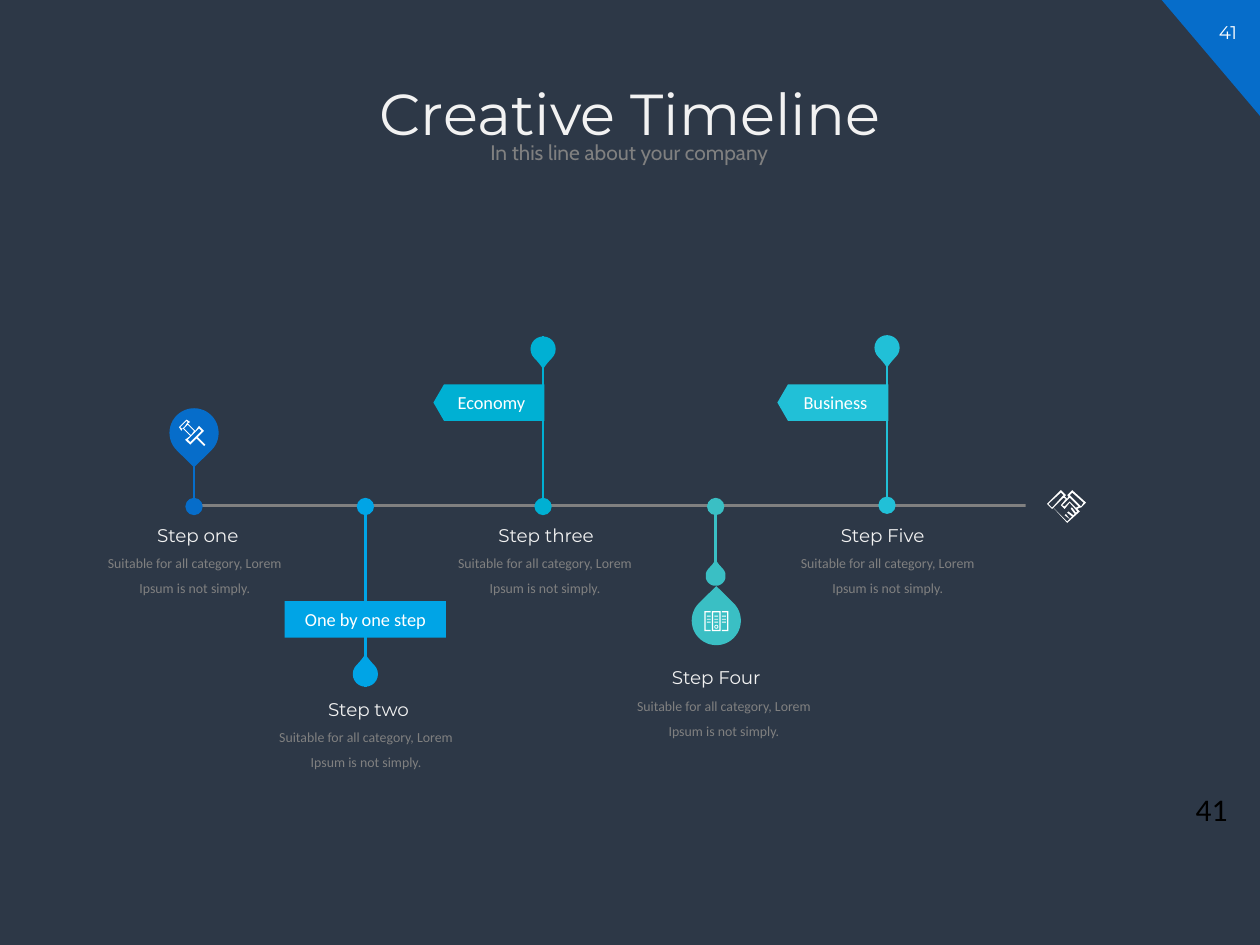
from math import cos, pi, sin

from lxml.etree import SubElement
from pptx import Presentation
from pptx.dml.color import RGBColor
from pptx.enum.shapes import MSO_CONNECTOR, MSO_SHAPE
from pptx.enum.text import MSO_ANCHOR, PP_ALIGN
from pptx.oxml.ns import qn
from pptx.util import Inches, Pt

COLOURS = {
    "background": "2D3847", "corner": "066DCA", "white": "FFFFFF",
    "heading": "F2F2F2", "muted": "808080", "black": "000000",
    "one": "066DCA", "two": "00A4E6", "three": "00B0D3",
    "four": "3ABFC4", "five": "21C0D7",
}
STYLES = {
    "title": {"name": "Montserrat", "size": Pt(33), "colour": "heading"},
    "subtitle": {"name": "Cabin", "size": Pt(12), "colour": "muted"},
    "step": {"name": "Montserrat", "size": Pt(10.5), "colour": "heading"},
    "detail": {"name": "Calibri", "size": Pt(7.9), "colour": "muted"},
    "flag": {"name": "Calibri", "size": Pt(10.5), "colour": "white"},
    "corner": {"name": "Montserrat", "size": Pt(10.5), "colour": "white"},
    "footer": {"name": "Calibri", "size": Pt(18), "colour": "black"},
}
CENTRED = {"alignment": PP_ALIGN.CENTER}
TIGHT = {"alignment": PP_ALIGN.CENTER, "line_spacing": 0.9}
LOOSE = {"alignment": PP_ALIGN.CENTER, "line_spacing": 1.5}
DETAIL = "Suitable for all category, Lorem Ipsum is not simply."

deck = Presentation()
deck.slide_width, deck.slide_height = Inches(10), Inches(7.5)
page = deck.slides.add_slide(deck.slide_layouts[6])
page.background.fill.solid()
page.background.fill.fore_color.rgb = RGBColor.from_string(COLOURS["background"])

# The grid has 100 columns and 75 rows of square cells
CELL = deck.slide_width / 100
AXIS = 40.1


def write(shape, text, style, layout, **frame):
    """Put one formatted paragraph into a shape or text box."""
    box = shape.text_frame
    for key, value in {"word_wrap": True, **frame}.items():
        setattr(box, key, value)
    para = box.paragraphs[0]
    for key, value in layout.items():
        setattr(para, key, value)
    span = para.add_run()
    span.text = text
    for key, value in STYLES[style].items():
        if key == "colour":
            span.font.color.rgb = RGBColor.from_string(COLOURS[value])
        else:
            setattr(span.font, key, value)


def paint(shape, colour):
    """Give a shape a flat fill, no outline and no shadow."""
    shape.shadow.inherit = False
    shape.fill.solid()
    shape.fill.fore_color.rgb = RGBColor.from_string(COLOURS[colour])
    shape.line.fill.background()


# Corner triangle
corner = page.shapes.add_shape(MSO_SHAPE.RIGHT_TRIANGLE,
                               *[int(n * CELL) for n in (92.2, 0, 7.8, 9.2)])
corner.rotation = 180
paint(corner, "corner")

# Texts: left, top, width, height, text, style, paragraph and frame formats
texts = [
    (94.9, 1.2, 5.1, 2.8, "41", "corner", CENTRED, {}),
    (5.7, 6.3, 88.6, 7.3, "Creative Timeline", "title", TIGHT, {}),
    (13.9, 10.9, 72.1, 2.6, "In this line about your company", "subtitle", TIGHT,
     {"vertical_anchor": MSO_ANCHOR.MIDDLE}),
    (93.9, 62.2, 6.1, 1.7, "41", "footer", {}, {}),
]
# Step labels: name, centre of name, centre of detail, top, width
for name, middle, detail_middle, top, width in [
    ("Step one", 15.7, 15.45, 41.1, 8.6),
    ("Step two", 29.25, 29.05, 54.9, 8.7),
    ("Step three", 43.35, 43.25, 41.1, 9.7),
    ("Step Four", 56.85, 57.45, 52.4, 9.1),
    ("Step Five", 70.05, 70.45, 41.1, 8.7),
]:
    texts += [
        (middle - width / 2, top, width, 2.8, name, "step", CENTRED,
         {"word_wrap": False}),
        (detail_middle - 8.25, top + 1.8, 16.5, 5, DETAIL, "detail", LOOSE, {}),
    ]
for *place, text, style, layout, frame in texts:
    box = page.shapes.add_textbox(*[int(n * CELL) for n in place])
    write(box, text, style, layout, **frame)

# Axis and stems, each stem ending in a dot on the axis
for x1, y1, x2, y2, colour, dotted in [
    (15.4, AXIS, 83.1, AXIS, "muted", False),
    (15.4, 36.7, 15.4, AXIS + 0.1, "one", True),
    (29, 54.5, 29, AXIS + 0.1, "two", True),
    (43.1, 26.7, 43.1, AXIS + 0.1, "three", True),
    (56.8, 45.2, 56.8, AXIS + 0.1, "four", True),
    (70.4, 27.6, 70.4, AXIS, "five", True),
]:
    line = page.shapes.add_connector(MSO_CONNECTOR.STRAIGHT,
                                     *[int(n * CELL) for n in (x1, y1, x2, y2)])
    line.line.width = Pt(1.5)
    line.line.color.rgb = RGBColor.from_string(COLOURS[colour])
    if dotted:
        SubElement(line.line._get_or_add_ln(), qn("a:tailEnd"),
                   type="oval", w="lg", len="lg")
    SubElement(line.element.spPr, qn("a:effectLst"))

# Drops: centre, size, rotation (135 points down, 315 up), tip
for x, y, size, turn, tip, colour in [
    (15.4, 34.35, 3.9, 135, 0.99, "one"),
    (29, 53.5, 2, 315, 1.12, "two"),
    (43.1, 27.7, 2, 135, 1.12, "three"),
    (56.8, 45.7, 1.6, 315, 1.12, "four"),
    (56.85, 49.25, 3.9, 315, 0.99, "four"),
    (70.4, 27.6, 2, 135, 1.12, "five"),
]:
    place = (x - size / 2, y - size / 2, size, size)
    drop = page.shapes.add_shape(MSO_SHAPE.TEAR, *[int(n * CELL) for n in place])
    drop.adjustments[0] = tip
    drop.rotation = turn
    paint(drop, colour)

# Flags on the stems
for left, top, width, text, colour, kind in [
    (22.6, 47.7, 12.8, "One by one step", "two", MSO_SHAPE.RECTANGLE),
    (34.4, 30.5, 8.8, "Economy", "three", MSO_SHAPE.PENTAGON),
    (61.7, 30.5, 8.8, "Business", "five", MSO_SHAPE.PENTAGON),
]:
    flag = page.shapes.add_shape(kind, *[int(n * CELL) for n in (left, top, width, 2.9)])
    if kind == MSO_SHAPE.PENTAGON:
        flag.adjustments[0] = 0.29
        flag.element.spPr.xfrm.set("flipH", "1")
    paint(flag, colour)
    write(flag, text, "flag", CENTRED, vertical_anchor=MSO_ANCHOR.MIDDLE,
          margin_left=0, margin_right=0, margin_top=0, margin_bottom=0)

# Disc that ends the axis behind the handshake
disc = page.shapes.add_shape(MSO_SHAPE.OVAL,
                             *[int(n * CELL) for n in (81.4, 36.9, 6.4, 6.4)])
paint(disc, "background")

# Binder icon: frame, side brackets, three columns of bars, ring
rectangles = [(56.5, 48.5, 57.2, 50.1), (56.6, 48.6, 57.1, 50)]
rectangles += [(x, y, x + 0.3, y + 0.07)
               for x in (56.1, 56.7, 57.3) for y in (48.87, 49.12, 49.35)]
binder = [[(l, t), (r, t), (r, b), (l, b)] for l, t, r, b in rectangles]
for inner, side, edge in [(56.4, 56, 55.9), (57.3, 57.7, 57.8)]:
    binder.append([(inner, 48.5), (inner, 48.6), (side, 48.6), (side, 50),
                   (inner, 50), (inner, 50.1), (edge, 50.1), (edge, 48.5)])
for radius in (0.16, 0.09):
    binder.append([(56.85 + radius * cos(k * pi / 6), 49.75 + radius * sin(k * pi / 6))
                   for k in range(12)])

handshake = [
    [(85.8, 40.3), (86.2, 39.9), (85.1, 38.9), (84.7, 39.3), (84.8, 39.4),
     (84.7, 39.6), (84.5, 39.4), (84.6, 39.3), (84.2, 38.9), (83.1, 40),
     (83.5, 40.4), (83.6, 40.3), (84.7, 41.5), (85.7, 40.6), (85.5, 40.4), (85.7, 40.3)],
    [(83.2, 40), (84.2, 39.1), (84.4, 39.3), (83.5, 40.3)],
    [(85.4, 40.7), (85.1, 40.3), (85, 40.3), (85, 40.4), (85.3, 40.8), (85.2, 40.9),
     (84.8, 40.6), (84.7, 40.7), (85.1, 41), (84.9, 41.2), (84.6, 40.8), (84.5, 40.9),
     (84.9, 41.2), (84.7, 41.4), (83.6, 40.3), (84.4, 39.5), (84.6, 39.6),
     (84.2, 40.1), (84.5, 40.4), (84.9, 39.9), (85.5, 40.6)],
    [(85.4, 40.3), (84.9, 39.8), (84.5, 40.2), (84.3, 40.1), (84.7, 39.7),
     (84.9, 39.5), (85.6, 40.2)],
    [(85.1, 39.1), (86, 39.9), (85.8, 40.2), (84.9, 39.3)],
]
gavel = [
    [(16.3, 35.3), (15.7, 34.7), (16.2, 34.2), (15.8, 33.8), (15.5, 34.2),
     (14.9, 33.6), (15.1, 33.5), (14.8, 33.3), (14.2, 33.9), (14.4, 34.2),
     (14.5, 34), (15.1, 34.6), (14.7, 34.9), (15.1, 35.3), (15.6, 34.8), (16.2, 35.4)],
    [(14.4, 34), (14.3, 33.9), (14.8, 33.4), (14.9, 33.5), (14.7, 33.8), (14.5, 34)],
    [(14.6, 34), (14.9, 33.7), (15.4, 34.2), (15.2, 34.5), (15.1, 34.5)],
    [(14.9, 34.9), (15.1, 34.7), (15.8, 34), (16, 34.2), (15.1, 35.1)],
]

# Icons are drawn in hundredths of a cell
for icon in (binder, handshake, gavel):
    outlines = [[(round(x * 100), round(y * 100)) for x, y in part] for part in icon]
    builder = page.shapes.build_freeform(*outlines[0][0], scale=CELL / 100)
    builder.add_line_segments(outlines[0][1:], close=True)
    for outline in outlines[1:]:
        builder.move_to(*outline[0])
        builder.add_line_segments(outline[1:], close=True)
    paint(builder.convert_to_shape(), "white")

deck.save("out.pptx")
